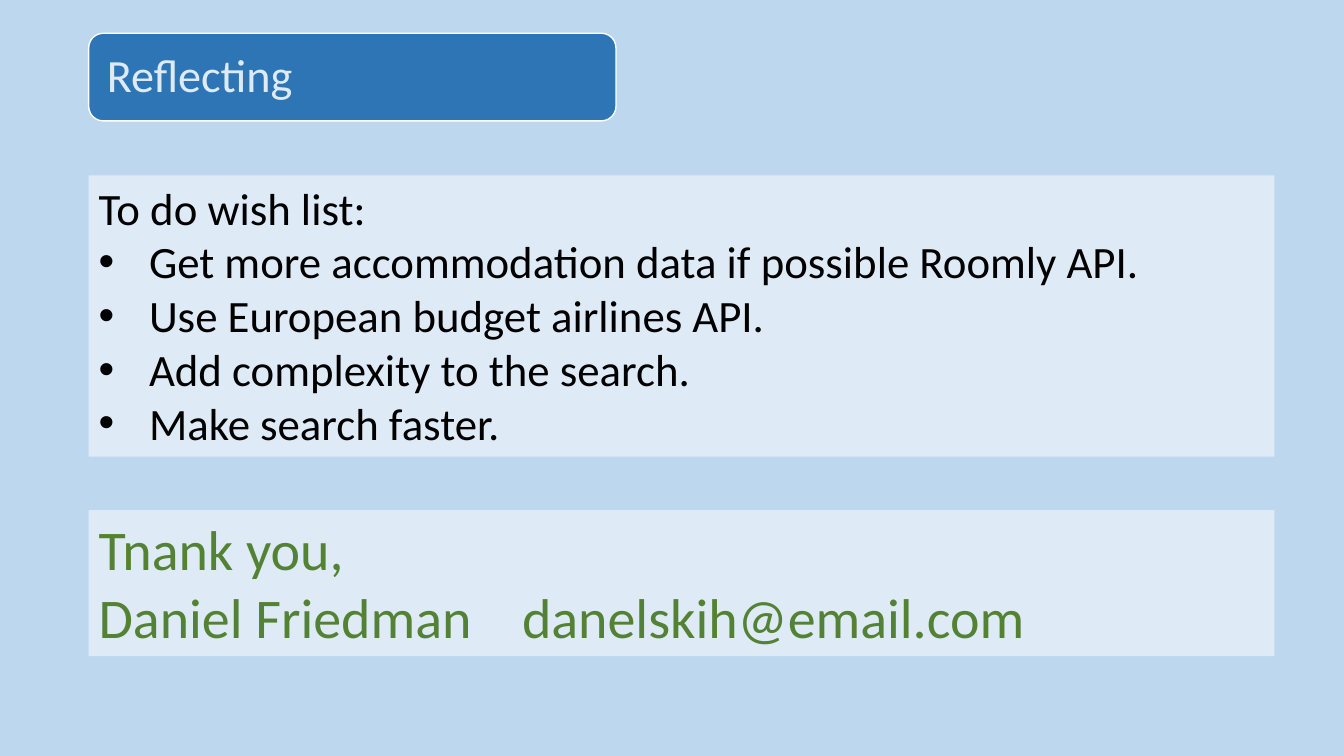
import pptx
import pptx.dml.color
import pptx.enum.shapes
import pptx.enum.text
import pptx.oxml.ns
import pptx.util
from lxml import etree

Inches = pptx.util.Inches
Pt = pptx.util.Pt
RGBColor = pptx.dml.color.RGBColor
MSO_SHAPE = pptx.enum.shapes.MSO_SHAPE
MSO_ANCHOR = pptx.enum.text.MSO_ANCHOR
PP_ALIGN = pptx.enum.text.PP_ALIGN
qn = pptx.oxml.ns.qn

TITLE = "Reflecting"
WISH_HEADING = "To do wish list:"
WISHES = [
    "Get more accommodation data if possible Roomly API.",
    "Use European budget airlines API.",
    "Add complexity to the search.",
    "Make search faster.",
]
CLOSING = ["Tnank you,", "Daniel Friedman\tdanelskih@email.com"]

SKY = RGBColor(0xBD, 0xD7, 0xEE)
BLUE = RGBColor(0x2E, 0x75, 0xB6)
PALE = RGBColor(0xDE, 0xEB, 0xF7)
WHITE = RGBColor(0xFF, 0xFF, 0xFF)
BLACK = RGBColor(0x00, 0x00, 0x00)
GREEN = RGBColor(0x54, 0x82, 0x35)

FONT = "Calibri"
LEFT = 0.88
PANEL_WIDTH = 11.76
TITLE_BOX = (LEFT, 0.33, 5.23, 0.87)
TITLE_PADDING = 0.04
TITLE_INSET = 0.14
BULLET_INDENT = 0.5
EMAIL_TAB = 4.2


def add_block(slide, kind, box, fill):
    shape = slide.shapes.add_shape(kind, *(Inches(value) for value in box))
    shape.shadow.inherit = False
    shape.fill.solid()
    shape.fill.fore_color.rgb = fill
    shape.line.fill.background()
    return shape


def write_lines(text_frame, lines, size, color):
    text_frame.word_wrap = True
    text_frame.text = "\n".join(lines)
    for paragraph in text_frame.paragraphs:
        paragraph.alignment = PP_ALIGN.LEFT
        for run in paragraph.runs:
            run.font.name = FONT
            run.font.size = Pt(size)
            run.font.color.rgb = color
    return text_frame.paragraphs


def add_panel(slide, top, height, lines, size, color):
    panel = add_block(slide, MSO_SHAPE.RECTANGLE, (LEFT, top, PANEL_WIDTH, height), PALE)
    panel.text_frame.vertical_anchor = MSO_ANCHOR.TOP
    return write_lines(panel.text_frame, lines, size, color)


def add_bullet(paragraph):
    properties = paragraph._p.get_or_add_pPr()
    properties.set("marL", str(Inches(BULLET_INDENT)))
    properties.set("indent", str(-Inches(BULLET_INDENT)))
    etree.SubElement(properties, qn("a:buFont")).set("typeface", "Arial")
    etree.SubElement(properties, qn("a:buChar")).set("char", "•")


def add_tab(paragraph, position):
    tabs = etree.SubElement(paragraph._p.get_or_add_pPr(), qn("a:tabLst"))
    etree.SubElement(tabs, qn("a:tab"), pos=str(Inches(position)), algn="l")


def add_title(slide):
    banner = add_block(slide, MSO_SHAPE.ROUNDED_RECTANGLE, TITLE_BOX, BLUE)
    banner.line.color.rgb = WHITE
    banner.line.width = Pt(1)
    left, top, width, height = TITLE_BOX
    title = slide.shapes.add_textbox(
        Inches(left + TITLE_PADDING), Inches(top + TITLE_PADDING),
        Inches(width - 2 * TITLE_PADDING), Inches(height - 2 * TITLE_PADDING))
    text_frame = title.text_frame
    text_frame.vertical_anchor = MSO_ANCHOR.MIDDLE
    text_frame.margin_left = text_frame.margin_right = Inches(TITLE_INSET)
    text_frame.margin_top = text_frame.margin_bottom = Inches(TITLE_INSET)
    write_lines(text_frame, [TITLE], 33, PALE)[0].line_spacing = 0.9


def main():
    presentation = pptx.Presentation()
    presentation.slide_width = Inches(13.33)
    presentation.slide_height = Inches(7.5)
    slide = presentation.slides.add_slide(presentation.slide_layouts[6])
    slide.background.fill.solid()
    slide.background.fill.fore_color.rgb = SKY

    add_title(slide)
    wish_paragraphs = add_panel(slide, 1.74, 2.79, [WISH_HEADING] + WISHES, 32, BLACK)
    for paragraph in wish_paragraphs[1:]:
        add_bullet(paragraph)
    closing_paragraphs = add_panel(slide, 5.06, 1.45, CLOSING, 40, GREEN)
    add_tab(closing_paragraphs[-1], EMAIL_TAB)

    presentation.save("out.pptx")


if __name__ == "__main__":
    main()
